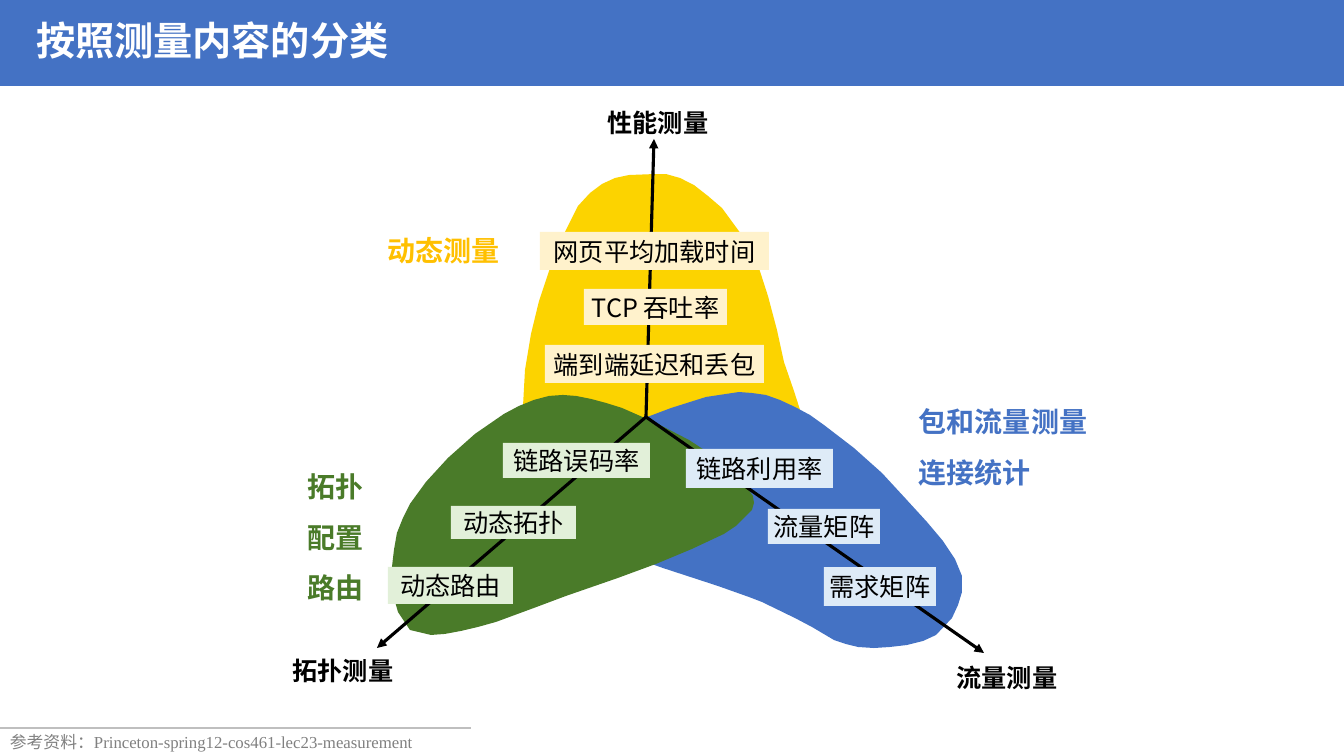
from lxml.etree import SubElement
from pptx import Presentation
from pptx.dml.color import RGBColor
from pptx.enum.shapes import MSO_CONNECTOR, MSO_SHAPE
from pptx.enum.text import MSO_ANCHOR as Anchor, MSO_AUTO_SIZE, PP_ALIGN as Align
from pptx.oxml.ns import qn
from pptx.util import Pt

EMU_PER_PX = 12192000 / 1344

CJK_FONT = "Noto Sans CJK SC"
SOURCE_FONT = "Times New Roman"

WHITE = RGBColor(0xFF, 0xFF, 0xFF)
BLACK = RGBColor(0x00, 0x00, 0x00)
GRAY = RGBColor(0x80, 0x80, 0x80)
RULE_GRAY = RGBColor(0xBF, 0xBF, 0xBF)
BLUE = RGBColor(0x44, 0x72, 0xC4)
GREEN = RGBColor(0x4A, 0x7B, 0x29)
YELLOW = RGBColor(0xFC, 0xD3, 0x00)
AMBER = RGBColor(0xFF, 0xC0, 0x00)
PALE_YELLOW = RGBColor(0xFF, 0xF2, 0xCC)
PALE_GREEN = RGBColor(0xE2, 0xF0, 0xD9)
PALE_BLUE = RGBColor(0xDE, 0xEB, 0xF7)

# All diagram coordinates are px offsets from the hub where the axes meet.
PERFORMANCE_PETAL = [
    (-111, 64), (-120, 26), (-123, -11), (-121, -47), (-115, -83), (-107, -116),
    (-97, -146), (-87, -172), (-82, -183), (-68, -211), (-56, -224), (-44, -233),
    (-31, -239), (-17, -242), (9, -243), (20, -243), (34, -239), (48, -232),
    (62, -221), (76, -209), (98, -179), (112, -152), (122, -121), (131, -87),
    (138, -55), (148, -26), (158, 5), (165, 35), (163, 61), (149, 79),
    (104, 93), (58, 105), (6, 112), (-28, 113), (-58, 108), (-85, 96), (-104, 77),
]
TRAFFIC_PETAL = [
    (93, -25), (60, -20), (25, -9), (-12, 5), (-46, 23), (-77, 41), (-99, 60),
    (-112, 84), (-95, 104), (-55, 124), (-20, 138), (17, 151), (72, 169),
    (103, 180), (116, 185), (149, 201), (166, 210), (188, 223), (200, 227),
    (212, 230), (228, 231), (244, 230), (261, 228), (277, 224), (290, 218),
    (306, 201), (312, 188), (316, 175), (316, 159), (309, 142), (297, 124),
    (281, 105), (260, 82), (236, 56), (208, 31), (178, 8), (164, -2),
    (149, -10), (134, -17), (120, -22), (106, -24),
]
TOPOLOGY_PETAL = [
    (-83, -22), (-97, -21), (-112, -17), (-127, -11), (-142, -3), (-171, 17),
    (-198, 41), (-220, 65), (-236, 87), (-243, 101), (-249, 116), (-252, 133),
    (-254, 150), (-254, 166), (-252, 181), (-248, 195), (-236, 213), (-215, 218),
    (-201, 217), (-185, 214), (-168, 210), (-150, 205), (-112, 191), (-80, 179),
    (-28, 161), (10, 147), (46, 132), (78, 117), (90, 109), (106, 93), (108, 86),
    (107, 79), (94, 61), (72, 42), (43, 23), (10, 6), (-24, -9), (-40, -14),
    (-55, -18), (-70, -21),
]
PETALS = [(PERFORMANCE_PETAL, YELLOW), (TRAFFIC_PETAL, BLUE), (TOPOLOGY_PETAL, GREEN)]

# Axis name, label offset, arrow tip
AXES = [
    ("性能测量", (-94, -315), (8, -278)),
    ("拓扑测量", (-409, 233), (-269, 231)),
    ("流量测量", (255, 240), (338, 236)),
]
METRICS = [
    ("网页平均加载时间", (-106, -185, 229, 38), PALE_YELLOW),
    ("端到端延迟和丢包", (-101, -72, 219, 38), PALE_YELLOW),
    ("TCP 吞吐率", (-62, -128, 143, 36), PALE_YELLOW),
    ("动态路由", (-258, 150, 125, 37), PALE_GREEN),
    ("动态拓扑", (-195, 89, 125, 33), PALE_GREEN),
    ("链路误码率", (-143, 26, 147, 35), PALE_GREEN),
    ("链路利用率", (40, 32, 147, 39), PALE_BLUE),
    ("流量矩阵", (122, 92, 112, 35), PALE_BLUE),
    ("需求矩阵", (178, 150, 112, 39), PALE_BLUE),
]
# Lines, box, colour, alignment, line spacing
METHODS = [
    (["动态测量"], (-308, -188, 212, 44), AMBER, Align.CENTER, 1.0),
    (["拓扑", "配置", "路由"], (-416, 31, 212, 157), GREEN, Align.CENTER, 1.5),
    (["包和流量测量", "连接统计"], (263, -34, 212, 106), BLUE, Align.LEFT, 1.5),
]


def px(length):
    return round(length * EMU_PER_PX)


def write(frame, lines, size, color, bold=False, align=Align.LEFT, spacing=1.0, font=CJK_FONT):
    frame.word_wrap = True
    frame.text = "\n".join(lines)
    for paragraph in frame.paragraphs:
        paragraph.alignment = align
        paragraph.line_spacing = spacing
        paragraph.space_before = Pt(0)
        paragraph.font.size = Pt(size)
        paragraph.font.bold = bold
        paragraph.font.color.rgb = color
        paragraph.font.name = font
        if font == CJK_FONT:
            defaults = paragraph._p.pPr.find(qn("a:defRPr"))
            SubElement(defaults, qn("a:ea"), typeface=font)


def add_text(slide, box, lines, size, color, **style):
    textbox = slide.shapes.add_textbox(*map(px, box))
    write(textbox.text_frame, lines, size, color, **style)


def add_box(slide, box, color):
    shape = slide.shapes.add_shape(MSO_SHAPE.RECTANGLE, *map(px, box))
    shape.shadow.inherit = False
    shape.fill.solid()
    shape.fill.fore_color.rgb = color
    shape.line.fill.background()
    return shape


def add_line(slide, start, end, color, width, arrow=False):
    line = slide.shapes.add_connector(MSO_CONNECTOR.STRAIGHT, *map(px, start + end))
    line.line.color.rgb = color
    line.line.width = Pt(width)
    if arrow:
        SubElement(line.line._get_or_add_ln(), qn("a:tailEnd"), type="triangle")
    SubElement(line._element.spPr, qn("a:effectLst"))


def add_petal(slide, hub, points, color):
    outline = [(px(hub[0] + x), px(hub[1] + y)) for x, y in points]
    builder = slide.shapes.build_freeform(*outline[0])
    builder.add_line_segments(outline[1:], close=True)
    petal = builder.convert_to_shape()
    petal.shadow.inherit = False
    petal.fill.solid()
    petal.fill.fore_color.rgb = color
    petal.line.fill.background()


def add_header(slide, box, text):
    left, top, width, height = box
    add_box(slide, box, BLUE)
    title = slide.shapes.title
    slide.shapes._spTree.append(title._element)  # bring the title above the banner
    title.left, title.top = px(left + 26), px(top + 15)
    title.width, title.height = px(width - 53), px(height - 30)
    frame = title.text_frame
    frame.auto_size = MSO_AUTO_SIZE.NONE
    frame.vertical_anchor = Anchor.MIDDLE
    write(frame, [text], 28, WHITE, bold=True, spacing=0.9)


def add_diagram(slide, hub):
    def at_hub(x, y, *size):
        return (hub[0] + x, hub[1] + y, *size)

    for points, color in PETALS:
        add_petal(slide, hub, points, color)
    for name, label, tip in AXES:
        add_text(slide, at_hub(*label, 212, 40), [name], 18, BLACK, bold=True, align=Align.CENTER)
        add_line(slide, hub, at_hub(*tip), BLACK, 2.25, arrow=True)
    for name, box, color in METRICS:
        frame = add_box(slide, at_hub(*box), color).text_frame
        frame.margin_left = frame.margin_right = frame.margin_top = frame.margin_bottom = 0
        frame.vertical_anchor = Anchor.MIDDLE
        write(frame, [name], 18, BLACK, align=Align.CENTER)
    for lines, box, color, align, spacing in METHODS:
        add_text(slide, at_hub(*box), lines, 20, color, bold=True, align=align, spacing=spacing)


def add_reference(slide, box, text):
    left, top = box[:2]
    add_text(slide, box, [text], 12, GRAY, spacing=Pt(15), font=SOURCE_FONT)
    add_line(slide, (left, top + 2), (left + 471, top + 2), RULE_GRAY, 1)


def main():
    presentation = Presentation()
    presentation.slide_width, presentation.slide_height = px(1344), px(756)
    slide = presentation.slides.add_slide(presentation.slide_layouts[5])
    add_header(slide, (0, 0, 1344, 86), "按照测量内容的分类")
    add_diagram(slide, (646, 417))
    add_reference(slide, (0, 726, 672, 30), "参考资料：Princeton-spring12-cos461-lec23-measurement")
    presentation.save("out.pptx")


if __name__ == "__main__":
    main()
